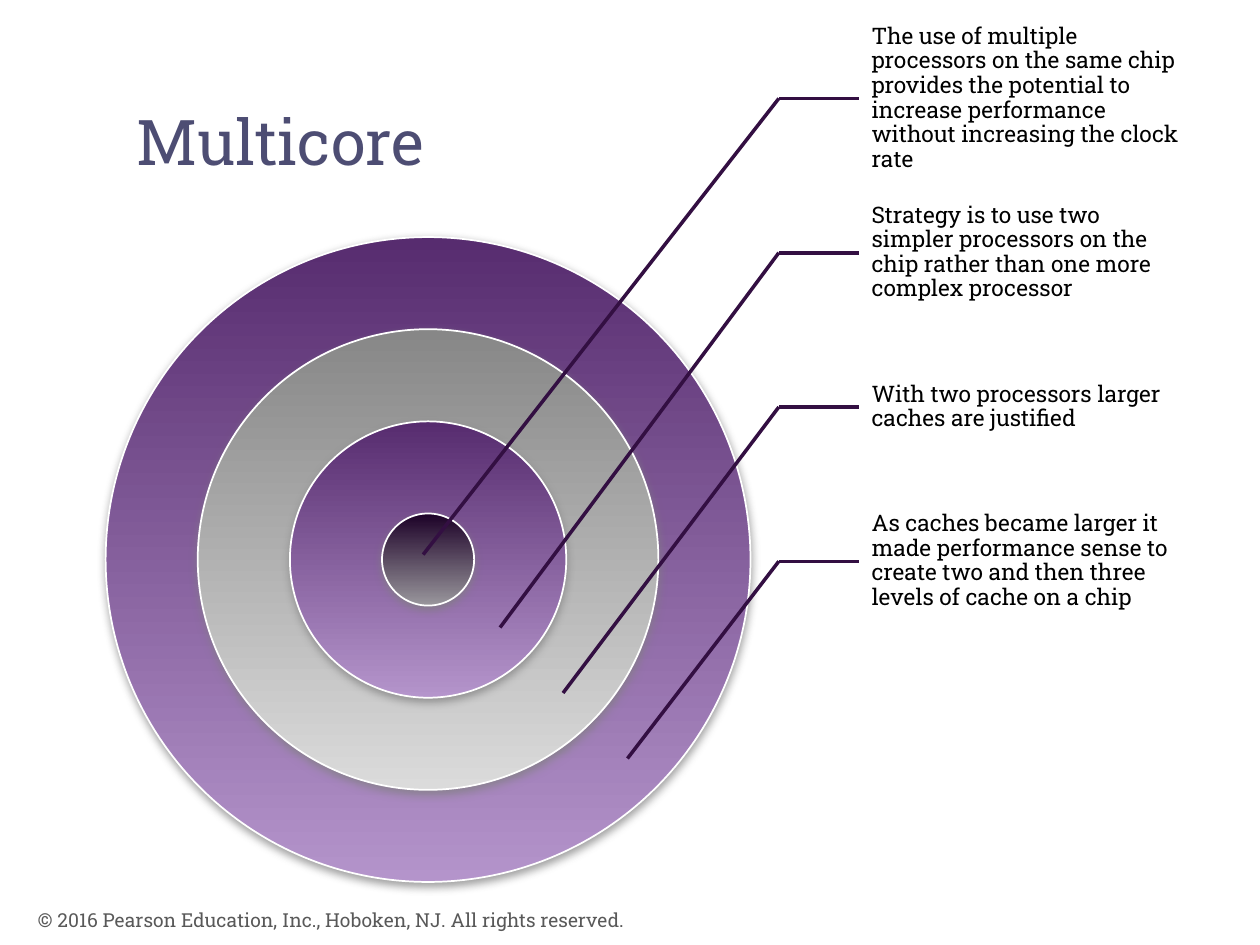
from dataclasses import dataclass

from lxml import etree
from pptx import Presentation
from pptx.dml.color import RGBColor
from pptx.enum.shapes import MSO_CONNECTOR, MSO_SHAPE
from pptx.enum.text import MSO_ANCHOR, PP_ALIGN
from pptx.oxml.ns import qn
from pptx.util import Cm, Pt

ELLIPSE = MSO_SHAPE.OVAL
STRAIGHT = MSO_CONNECTOR.STRAIGHT
TOP, MIDDLE = MSO_ANCHOR.TOP, MSO_ANCHOR.MIDDLE
LEFT = PP_ALIGN.LEFT


@dataclass(frozen=True)
class Theme:
    font: str = "Roboto Slab"
    title_size: float = 36
    callout_size: float = 13
    footer_size: float = 11
    title: str = "4D4D73"
    text: str = "000000"
    footer: str = "595959"
    leader: str = "330F42"
    outline: str = "FFFFFF"
    shadow: str = "808080"
    purple: tuple = ("572C6F", "B494CB")
    grey: tuple = ("878787", "DBDBDB")
    dark: tuple = ("1C0127", "99969C")


@dataclass(frozen=True)
class Box:
    left: float
    top: float
    width: float
    height: float

    def lengths(self):
        return Cm(self.left), Cm(self.top), Cm(self.width), Cm(self.height)


THEME = Theme()
TITLE_BOX = Box(2.49, 1.93, 20.98, 3.1)
RINGS_BOX = Box(2.13, 4.78, 13, 13)
CALLOUTS_BOX = Box(15.7, 0.43, 8.13, 12.44)
FOOTER_BOX = Box(0.51, 18.03, 17.02, 1.02)
LEADER_WIDTH = 1.62

RING_FILLS = (THEME.purple, THEME.grey, THEME.purple, THEME.dark)
CALLOUTS = (
    ("The use of multiple processors on the same chip provides the potential "
     "to increase performance without increasing the clock rate", (6.4, 6.4)),
    ("Strategy is to use two simpler processors on the chip rather than one "
     "more complex processor", (7.95, 7.87)),
    ("With two processors larger caches are justified", (9.22, 9.19)),
    ("As caches became larger it made performance sense to create two and "
     "then three levels of cache on a chip", (10.52, 10.51)),
)


def write_text(shape, text, size, color, anchor):
    frame = shape.text_frame
    frame.text = text
    frame.word_wrap = True
    frame.vertical_anchor = anchor
    paragraph = frame.paragraphs[0]
    paragraph.alignment = LEFT
    font = paragraph.runs[0].font
    font.name = THEME.font
    font.size = Pt(size)
    font.color.rgb = RGBColor.from_string(color)
    return frame


def add_soft_shadow(shape):
    shape.shadow.inherit = False
    effects = shape.element.spPr.find(qn("a:effectLst"))
    shadow = etree.SubElement(
        effects, qn("a:outerShdw"), blurRad=str(Pt(5)), dist=str(Pt(2)),
        dir="5400000", rotWithShape="0")
    color = etree.SubElement(shadow, qn("a:srgbClr"), val=THEME.shadow)
    etree.SubElement(color, qn("a:alpha"), val="75000")


def add_rings(slide, box):
    unit = box.width / (2 * len(RING_FILLS) - 1)
    for index, colors in enumerate(RING_FILLS):
        inset = index * unit
        size = box.width - 2 * inset
        ring_box = Box(box.left + inset, box.top + inset, size, size)
        ring = slide.shapes.add_shape(ELLIPSE, *ring_box.lengths())
        ring.fill.gradient()
        ring.fill.gradient_angle = 270
        for stop, color in zip(ring.fill.gradient_stops, colors):
            stop.color.rgb = RGBColor.from_string(color)
        ring.line.color.rgb = RGBColor.from_string(THEME.outline)
        ring.line.width = Pt(1)
        add_soft_shadow(ring)


def add_leader(slide, start, end):
    leader = slide.shapes.add_connector(
        STRAIGHT, *(Cm(value) for value in (*start, *end)))
    leader.line.color.rgb = RGBColor.from_string(THEME.leader)
    leader.line.width = Pt(2)
    etree.SubElement(leader.element.spPr, qn("a:effectLst"))


def add_callouts(slide, box, rings_box):
    pitch = box.height / len(CALLOUTS)
    text_left = box.left + LEADER_WIDTH
    for index, (text, target) in enumerate(CALLOUTS):
        top = box.top + index * pitch
        text_box = Box(text_left, top, box.width - LEADER_WIDTH, pitch)
        callout = slide.shapes.add_textbox(*text_box.lengths())
        frame = write_text(callout, text, THEME.callout_size, THEME.text, MIDDLE)
        frame.margin_left = Cm(0.25)
        frame.margin_top = frame.margin_right = frame.margin_bottom = Cm(0.05)
        frame.paragraphs[0].line_spacing = 0.9

        elbow = (box.left, top + pitch / 2)
        add_leader(slide, elbow, (text_left, elbow[1]))
        add_leader(slide, elbow, (rings_box.left + target[0],
                                  rings_box.top + target[1]))


def place_title(slide, box):
    title = slide.shapes.title
    title.left, title.top, title.width, title.height = box.lengths()
    write_text(title, "Multicore", THEME.title_size, THEME.title, TOP)


def add_footer(slide, box):
    footer = slide.shapes.add_textbox(*box.lengths())
    write_text(
        footer,
        "© 2016 Pearson Education, Inc., Hoboken, NJ. All rights reserved.",
        THEME.footer_size, THEME.footer, MIDDLE)


def main():
    presentation = Presentation()
    presentation.slide_width = Cm(25.4)
    presentation.slide_height = Cm(19.05)
    title_only = presentation.slide_layouts.get_by_name("Title Only")
    slide = presentation.slides.add_slide(title_only)
    add_rings(slide, RINGS_BOX)
    add_callouts(slide, CALLOUTS_BOX, RINGS_BOX)
    place_title(slide, TITLE_BOX)
    add_footer(slide, FOOTER_BOX)
    presentation.save("out.pptx")


if __name__ == "__main__":
    main()
